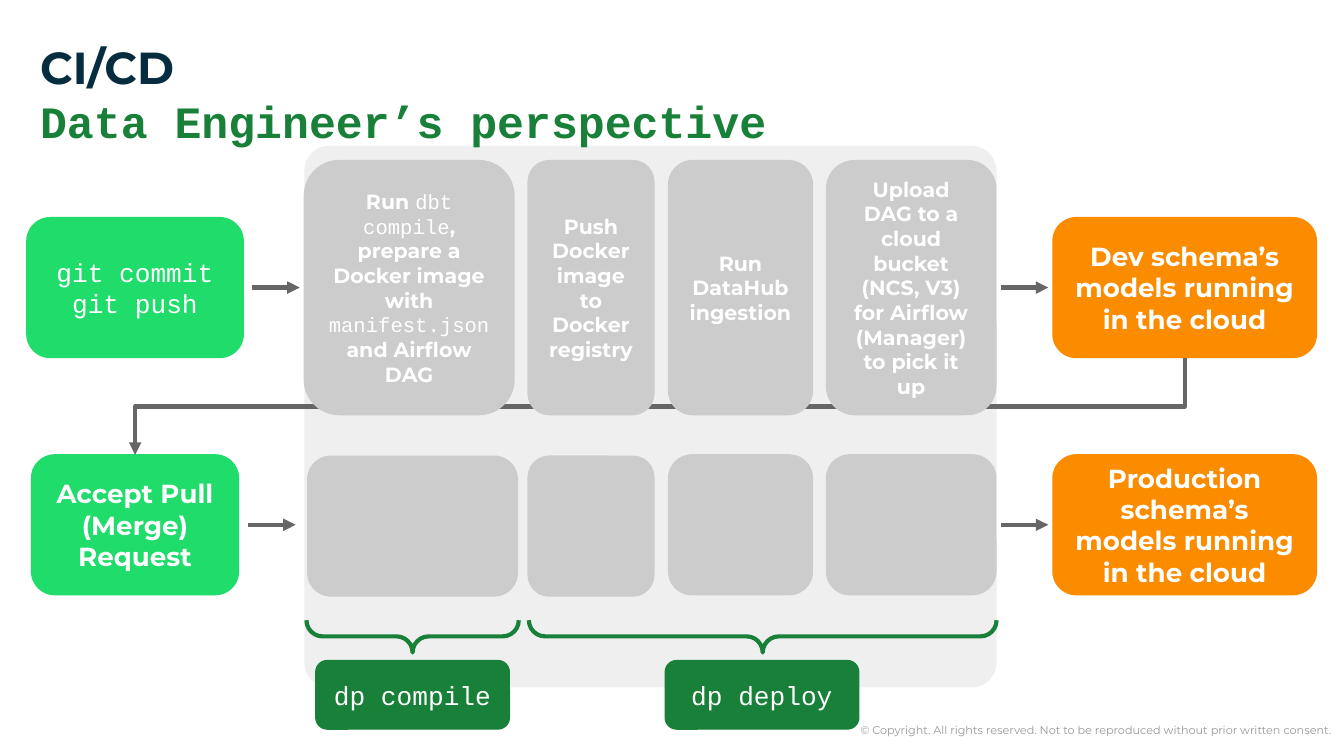
import pptx
import pptx.dml.color
import pptx.enum.shapes
import pptx.enum.text
import pptx.oxml
import pptx.oxml.ns
import pptx.util
from lxml import etree

PX = 4572  # EMU per px, 200 px to the inch
SANS, MONO = "Montserrat", "Courier New"
WHITE, GREY, GREEN, LIME, ORANGE = "FFFFFF", "CCCCCC", "188038", "1FDC6B", "FB8C00"
SHAPE = pptx.enum.shapes.MSO_SHAPE
CONNECTOR = pptx.enum.shapes.MSO_CONNECTOR
ALIGN = pptx.enum.text.PP_ALIGN
ANCHOR = pptx.enum.text.MSO_ANCHOR


def px(*values):
    return [pptx.util.Emu(v * PX) for v in values]


def rgb(value):
    return pptx.dml.color.RGBColor.from_string(value)


class Deck:
    def __init__(self, width, height):
        self.prs = pptx.Presentation()
        self.prs.slide_width, self.prs.slide_height = px(width, height)
        self.s = self.prs.slides.add_slide(self.prs.slide_layouts[6])

    def style(self, r, size, font, color, bold):
        r.font.size = pptx.util.Pt(size)
        r.font.name = font
        r.font.color.rgb = rgb(color)
        r.font.bold = bold

    def frame(self, sp, anchor):
        tf = sp.text_frame
        tf.word_wrap = True
        tf.vertical_anchor = anchor
        tf.margin_left = tf.margin_right = tf.margin_top = tf.margin_bottom = px(20)[0]
        return tf

    def text(self, box, lines, align):
        """Each line is (text, size, font, color, bold)."""
        sp = self.s.shapes.add_textbox(*px(*box))
        tf = self.frame(sp, ANCHOR.TOP)
        tf.text = "\n".join(line[0] for line in lines)
        for p, line in zip(tf.paragraphs, lines):
            p.alignment = align
            self.style(p.runs[0], *line[1:])

    def outline(self, sp, color, width):
        sp.line.color.rgb = rgb(color)
        sp.line.width = pptx.util.Pt(width)

    def card(self, box, color, text="", size=14, corner=0.167):
        """Rounded card; text between backticks is set in the code font."""
        sp = self.s.shapes.add_shape(SHAPE.ROUNDED_RECTANGLE, *px(*box))
        sp.adjustments[0] = corner
        sp.shadow.inherit = False
        sp.fill.solid()
        sp.fill.fore_color.rgb = rgb(color)
        self.outline(sp, color, 0.75)
        if not text:
            return
        tf = self.frame(sp, ANCHOR.MIDDLE)
        for i, line in enumerate(text.split("\n")):
            p = tf.add_paragraph() if i else tf.paragraphs[0]
            p.alignment = ALIGN.CENTER
            for j, part in enumerate(line.split("`")):
                if part:
                    r = p.add_run()
                    r.text = part
                    code = j % 2 == 1
                    self.style(r, size, MONO if code else SANS, WHITE, not code)

    def arrow(self, x1, y1, x2, y2, kind=CONNECTOR.STRAIGHT, turns=0):
        c = self.s.shapes.add_connector(kind, *px(x1, y1, x2, y2))
        self.outline(c, "666666", 2.25)
        ns = pptx.oxml.ns.qn
        etree.SubElement(c.line._get_or_add_ln(), ns("a:tailEnd"), type="triangle")
        pr = c._element.spPr
        etree.SubElement(pr, ns("a:effectLst"))
        if turns:
            pr.find(ns("a:xfrm")).set("rot", str(turns * 5400000))

    def brace(self, left, top, width, height):
        """Brace opening upwards; the box is the one seen on the slide."""
        x, y = left + (width - height) // 2, top + (height - width) // 2
        sp = self.s.shapes.add_shape(SHAPE.LEFT_BRACE, *px(x, y, height, width))
        sp.rotation = 270
        sp.adjustments[0] = sp.adjustments[1] = 0.5
        sp.shadow.inherit = False
        sp.fill.background()
        self.outline(sp, GREEN, 2.25)


def main():
    d = Deck(2000, 1125)

    # Footer, pipeline panel and title
    d.text((200, 1066, 1800, 61), [(
        "© Copyright. All rights reserved. Not to be reproduced without prior written consent.",
        6, SANS, "999999", False)], ALIGN.RIGHT)
    d.card((454, 218, 1028, 804), "EFEFEF", corner=0.045)
    d.text((40, 39, 1724, 178), [
        ("CI/CD", 24, SANS, "062C3F", True),
        ("Data Engineer’s perspective", 24, MONO, GREEN, True)], ALIGN.LEFT)

    # Triggers on the left, results on the right
    d.card((40, 324, 322, 208), LIME, "`git commit`\n`git push`")
    d.card((47, 677, 308, 208), LIME, "Accept Pull (Merge) Request")
    d.card((1567, 324, 392, 208), ORANGE, "Dev schema’s models running in the cloud")
    d.card((1567, 677, 392, 208), ORANGE,
           "Production schema’s models running in the cloud")

    # Flow arrows; the elbow is turned to leave downwards from the dev result
    for start, y in ((375, 428), (369, 781)):
        d.arrow(start, y, start + 71, y)
        d.arrow(1490, y, 1560, y)
    d.arrow(910, -176, 1054, 1386, CONNECTOR.ELBOW, turns=1)

    # Pipeline steps: described for dev, repeated blank for production
    steps = [
        (453, 458, 312, 679, "Run `dbt compile`, prepare a Docker image with "
                             "`manifest.json` and Airflow DAG"),
        (786, 786, 187, 679, "Push Docker image to Docker registry"),
        (995, 995, 214, 677, "Run DataHub ingestion"),
        (1230, 1230, 252, 677, "Upload DAG to a cloud bucket (NCS, V3) for Airflow "
                               "(Manager) to pick it up"),
    ]
    for dev_x, prod_x, width, prod_y, text in steps:
        d.card((dev_x, 239, width, 378), GREY, text, size=11)
        d.card((prod_x, prod_y, width, 208), GREY)

    # Commands covering the steps
    for left, width, label_x, command in (
            (456, 316, 470, "dp compile"), (787, 696, 990, "dp deploy")):
        d.brace(left, 923, width, 48)
        d.card((label_x, 983, 288, 102), GREEN, f"`{command}`")

    d.prs.save("out.pptx")


if __name__ == "__main__":
    main()
